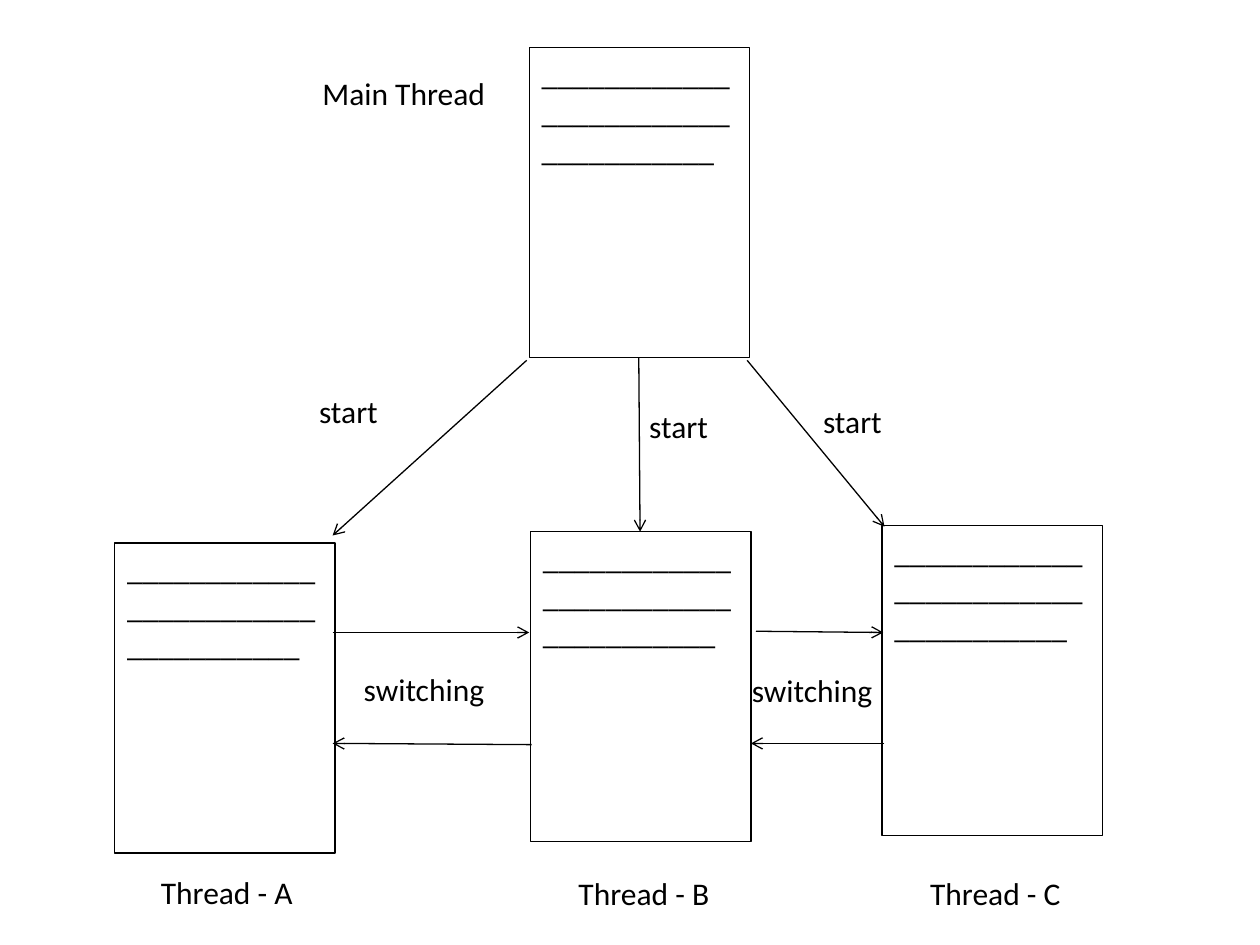
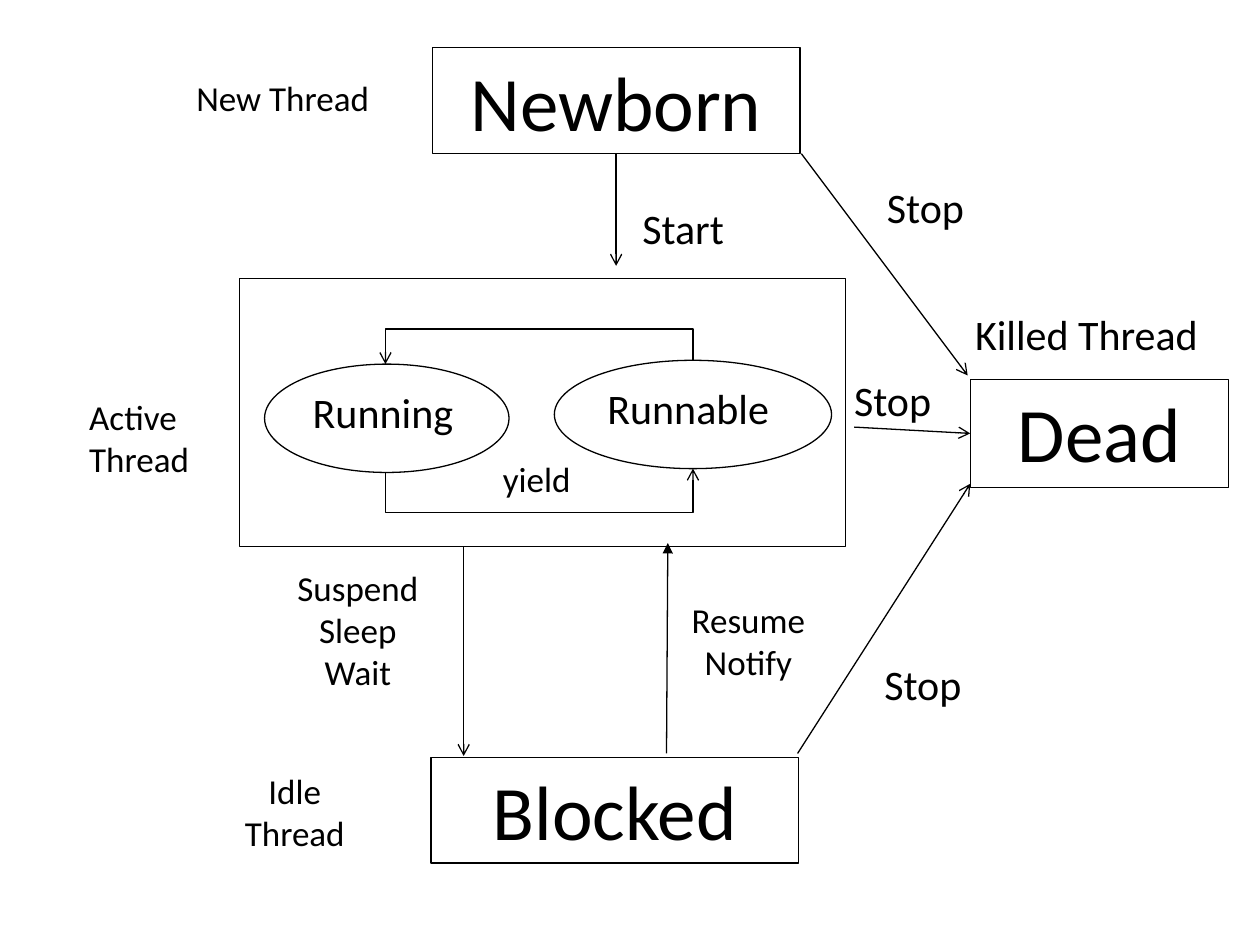
"""Build two slides on threads: switching between them and their life cycle."""
from lxml import etree
from pptx import Presentation
from pptx.dml.color import RGBColor
from pptx.enum import shapes, text
from pptx.oxml import ns
from pptx.util import Inches, Pt

INK = "000000"
FONT = "Calibri"
LINE_WIDTH = 0.75
CODE_LINES = "_" * 35
CENTER = text.PP_ALIGN.CENTER
LEFT = text.PP_ALIGN.LEFT
RECT = shapes.MSO_SHAPE.RECTANGLE
OVAL = shapes.MSO_SHAPE.OVAL
STRAIGHT = shapes.MSO_CONNECTOR.STRAIGHT
ELBOW = shapes.MSO_CONNECTOR.ELBOW


def color(value):
    """Turn a hex string into a colour."""
    return RGBColor.from_string(value)


def write(frame, wording, size, align):
    """Fill a text frame, one paragraph for each line of the wording."""
    frame.word_wrap = True
    frame.vertical_anchor = text.MSO_ANCHOR.TOP
    frame.text = wording
    for paragraph in frame.paragraphs:
        paragraph.alignment = align
        paragraph.font.name = FONT
        paragraph.font.size = Pt(size)
        paragraph.font.color.rgb = color(INK)


def add_label(slide, wording, place, size, align=CENTER):
    """Add free text at a place given as left, top, width, height."""
    label = slide.shapes.add_textbox(*map(Inches, place))
    write(label.text_frame, wording, size, align)


def add_outline(slide, place, wording="", size=18, align=CENTER, kind=RECT):
    """Add an unfilled outlined shape, with text if there is any."""
    outline = slide.shapes.add_shape(kind, *map(Inches, place))
    outline.shadow.inherit = False
    outline.fill.background()
    outline.line.color.rgb = color(INK)
    outline.line.width = Pt(LINE_WIDTH)
    if wording:
        write(outline.text_frame, wording, size, align)


def add_arrow(slide, start, end, head="arrow", kind=STRAIGHT):
    """Add a connector with an arrowhead at its end."""
    arrow = slide.shapes.add_connector(kind, *map(Inches, (*start, *end)))
    arrow.line.color.rgb = color(INK)
    arrow.line.width = Pt(LINE_WIDTH)
    tail = etree.SubElement(arrow.line._get_or_add_ln(), ns.qn("a:tailEnd"))
    tail.set("type", head)
    etree.SubElement(arrow.element.spPr, ns.qn("a:effectLst"))
    return arrow


def add_loop(slide, start, end, reach):
    """Add a U-shaped arrow that leaves and enters vertically."""
    span, gap = abs(end[0] - start[0]), abs(end[1] - start[1])
    mid_x, mid_y = (start[0] + end[0]) / 2, (start[1] + end[1]) / 2
    loop = add_arrow(slide, (mid_x + gap / 2, mid_y + span / 2),
                     (mid_x - gap / 2, mid_y - span / 2), kind=ELBOW)
    loop.element.spPr.xfrm.set("rot", str((90 if start[0] < end[0] else 270) * 60000))
    bend = etree.SubElement(loop.element.spPr.find(".//" + ns.qn("a:avLst")), ns.qn("a:gd"))
    bend.set("name", "adj1")
    bend.set("fmla", f"val {round(-reach / gap * 100000)}")


def build_switching(slide):
    """Draw the main thread, the three threads it starts and their switching."""
    for left, top in ((4.2, 0.38), (0.91, 4.31), (4.21, 4.22), (7, 4.17)):
        add_outline(slide, (left, top, 1.75, 2.46), CODE_LINES, align=LEFT)
    add_label(slide, "Main Thread", (2.34, 0.54, 1.73, 0.4), 18)
    for name, left, top in (("A", 1.13, 6.88), ("B", 4.44, 6.89), ("C", 7.23, 6.89)):
        add_label(slide, f"Thread - {name}", (left, top, 1.34, 0.4), 18)
    for left, top in ((2.26, 3.06), (4.88, 3.18), (6.26, 3.14)):
        add_label(slide, "start", (left, top, 1.01, 0.4), 18)
    for left, top in ((2.76, 5.27), (5.84, 5.28)):
        add_label(slide, "switching", (left, top, 1.21, 0.4), 18)

    starts = (((4.18, 2.86), (2.64, 4.25)), ((5.07, 2.84), (5.08, 4.22)),
              ((5.93, 2.86), (7.02, 4.18)))
    switches = (((2.64, 5.02), (4.2, 5.02)), ((6, 5.01), (7.01, 5.02)),
                ((4.22, 5.91), (2.64, 5.9)), ((7.02, 5.9), (5.96, 5.9)))
    for start, end in starts + switches:
        add_arrow(slide, start, end)


def build_life_cycle(slide):
    """Draw the states of a thread and the moves between them."""
    for state, place in (("Newborn", (3.43, 0.38, 2.92, 0.84)),
                         ("Dead", (7.7, 3.01, 2.05, 0.86)),
                         ("Blocked", (3.42, 6.01, 2.92, 0.84))):
        add_outline(slide, place, state, 44)
    add_outline(slide, (1.9, 2.21, 4.81, 2.13))
    for state, place in (("Running", (2.1, 2.89, 1.94, 0.86)),
                         ("Runnable", (4.4, 2.86, 2.2, 0.86))):
        add_outline(slide, place, state, 24, LEFT, OVAL)

    for move, left, top in (("Stop", 6.94, 1.39), ("Stop", 6.92, 5.18),
                            ("Stop", 6.68, 2.92), ("Start", 5, 1.56)):
        add_label(slide, move, (left, top, 0.94, 0.5), 24, LEFT)
    add_label(slide, "Killed Thread", (7.64, 2.4, 2.1, 0.5), 24, LEFT)
    add_label(slide, "New Thread", (1.46, 0.56, 1.72, 0.44), 20, LEFT)
    add_label(slide, "Active Thread", (0.61, 3.09, 1.06, 0.77), 20, LEFT)
    add_label(slide, "Idle Thread", (1.81, 6.06, 1.06, 0.77), 20)
    add_label(slide, "Suspend\nSleep\nWait", (2.22, 4.45, 1.24, 1.11), 20)
    add_label(slide, "Resume\nNotify", (5.32, 4.7, 1.24, 0.77), 20)
    add_label(slide, "yield", (3.4, 3.58, 1.72, 0.44), 20)

    for start, end in (((6.36, 1.22), (7.68, 2.98)), ((6.33, 5.98), (7.7, 3.84)),
                       ((6.78, 3.39), (7.7, 3.44)), ((4.89, 1.22), (4.89, 2.11)),
                       ((3.68, 4.34), (3.68, 6))):
        add_arrow(slide, start, end)
    add_arrow(slide, (5.29, 5.98), (5.3, 4.31), head="triangle")
    add_loop(slide, (3.06, 3.75), (5.5, 3.72), 0.32)
    add_loop(slide, (5.5, 2.86), (3.06, 2.89), 0.25)


def main():
    """Build both slides and save the presentation."""
    deck = Presentation()
    deck.slide_width, deck.slide_height = Inches(10), Inches(7.5)
    blank = deck.slide_layouts[6]
    for build in (build_switching, build_life_cycle):
        build(deck.slides.add_slide(blank))
    deck.save("out.pptx")


if __name__ == "__main__":
    main()
